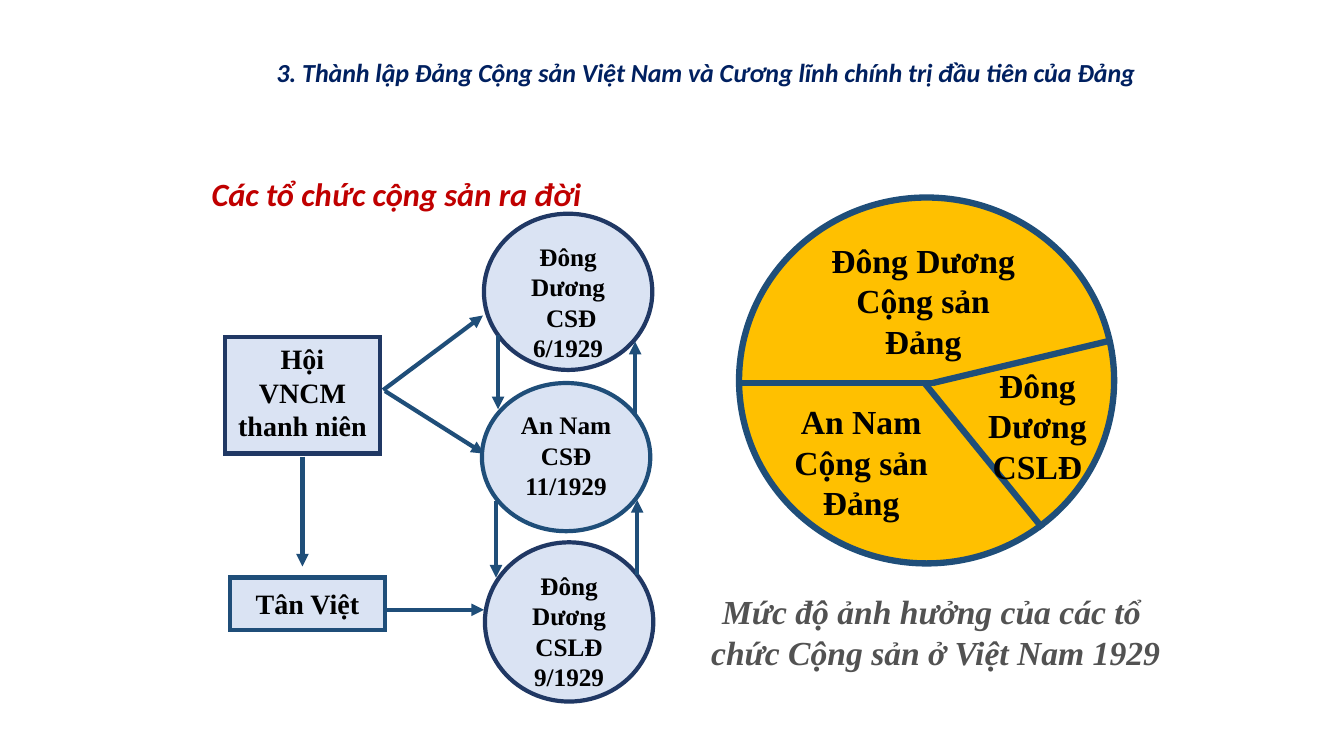
"""Build a slide on the communist organisations of Vietnam in 1929."""
from lxml.etree import SubElement
from pptx import Presentation
from pptx.dml.color import RGBColor
from pptx.enum.shapes import MSO_CONNECTOR, MSO_SHAPE
from pptx.enum.text import MSO_ANCHOR, PP_ALIGN
from pptx.oxml.ns import qn
from pptx.util import Inches, Pt

NAVY = RGBColor(0x00, 0x20, 0x60)
RED = RGBColor(0xC0, 0x00, 0x00)
BLACK = RGBColor(0x00, 0x00, 0x00)
GRAY = RGBColor(0x52, 0x52, 0x52)
PALE = RGBColor(0xDA, 0xE3, 0xF3)
DARK = RGBColor(0x20, 0x38, 0x64)
BLUE = RGBColor(0x1F, 0x4E, 0x79)
GOLD = RGBColor(0xFF, 0xC0, 0x00)

TITLE = "3. Thành lập Đảng Cộng sản Việt Nam và Cương lĩnh chính trị đầu tiên của Đảng"
HEADING = "Các tổ chức cộng sản ra đời"
CAPTION = ["Mức độ ảnh hưởng của các tổ ", "chức Cộng sản ở Việt Nam 1929"]

SOURCES = [
    (["Hội VNCM thanh niên"], (2.23, 3.34, 1.54, 1.16), DARK, MSO_ANCHOR.TOP),
    (["Tân Việt"], (2.28, 5.73, 1.54, 0.52), BLUE, MSO_ANCHOR.MIDDLE),
]
PARTIES = [
    (["Đông Dương", " CSĐ", "6/1929"], (4.8, 2.12, 1.67, 1.55), DARK),
    (["Đông Dương CSLĐ", "9/1929"], (4.81, 5.38, 1.67, 1.58), DARK),
    (["An Nam CSĐ", "11/1929"], (4.78, 3.8, 1.67, 1.47), BLUE),
]
ARROWS = [
    (3.82, 3.88, 4.8, 4.5),
    (3.81, 6.05, 4.8, 6.05),
    (3.8, 3.87, 4.79, 3.13),
    (3, 4.53, 3, 5.62),
    (4.94, 3.32, 4.94, 4.06),
    (6.3, 4.13, 6.3, 3.39),
    (4.92, 4.97, 4.92, 5.73),
    (6.32, 5.7, 6.32, 4.96),
]
CIRCLE = (7.33, 1.96, 3.72, 3.63)
DIVIDERS = [
    (7.33, 3.8, 9.25, 3.8),
    (9.25, 3.8, 11.01, 3.38),
    (9.17, 3.8, 10.34, 5.24),
]
SHARES = [
    ("Đông Dương Cộng sản Đảng", (8.12, 2.33, 2.07, 1.31)),
    ("An Nam Cộng sản Đảng", (7.75, 3.93, 1.58, 1.31)),
    ("Đông Dương CSLĐ", (9.66, 3.57, 1.26, 1.31)),
]


def put_text(s, lines, size=24, font="Times New Roman", color=BLACK, italic=False,
             align=PP_ALIGN.CENTER, anchor=MSO_ANCHOR.TOP, raised=False, spacing=None):
    tf = s.text_frame
    tf.word_wrap = True
    tf.vertical_anchor = anchor
    for i, line in enumerate(lines):
        p = tf.paragraphs[0] if i == 0 else tf.add_paragraph()
        p.alignment = align
        p.line_spacing = spacing
        r = p.add_run()
        r.text = line
        r.font.name, r.font.size = font, Pt(size)
        r.font.bold, r.font.italic = True, italic
        r.font.color.rgb = color
        if raised:
            r._r.get_or_add_rPr().set("baseline", "30000")


def add_box(shapes, box):
    return shapes.add_textbox(*map(Inches, box))


def add_outlined(shapes, kind, box, fill, line, width=3):
    s = shapes.add_shape(kind, *map(Inches, box))
    s.shadow.inherit = False
    s.fill.solid()
    s.fill.fore_color.rgb = fill
    s.line.color.rgb = line
    s.line.width = Pt(width)
    SubElement(s.line._get_or_add_ln(), qn("a:miter"), lim="800000")
    return s


def add_line(shapes, ends, width=3, arrow=False):
    s = shapes.add_connector(MSO_CONNECTOR.STRAIGHT, *map(Inches, ends))
    s.line.color.rgb = BLUE
    s.line.width = Pt(width)
    if arrow:
        SubElement(s.line._get_or_add_ln(), qn("a:tailEnd"), type="triangle")
    SubElement(s._element.spPr, qn("a:effectLst"))


def main():
    prs = Presentation()
    prs.slide_width, prs.slide_height = Inches(13.33), Inches(7.5)
    shapes = prs.slides.add_slide(prs.slide_layouts[6]).shapes

    put_text(add_box(shapes, (1.56, 0.29, 10.88, 1.03)), [TITLE], size=32, font="Calibri",
             color=NAVY, italic=True, anchor=MSO_ANCHOR.MIDDLE, raised=True, spacing=0.9)
    put_text(add_box(shapes, (2, 1.61, 5, 0.55)), [HEADING], size=40, font="Calibri",
             color=RED, italic=True, align=PP_ALIGN.LEFT, raised=True)

    for lines, box, line, anchor in SOURCES:
        s = add_outlined(shapes, MSO_SHAPE.RECTANGLE, box, PALE, line)
        put_text(s, lines, size=20, anchor=anchor)
    for lines, box, line in PARTIES:
        put_text(add_outlined(shapes, MSO_SHAPE.OVAL, box, PALE, line), lines, size=18)
    for ends in ARROWS:
        add_line(shapes, ends, arrow=True)

    put_text(add_box(shapes, (6.78, 5.89, 5, 0.75)), CAPTION, color=GRAY, italic=True,
             anchor=MSO_ANCHOR.MIDDLE)
    add_outlined(shapes, MSO_SHAPE.OVAL, CIRCLE, GOLD, BLUE, width=4.5)
    for ends in DIVIDERS:
        add_line(shapes, ends, width=4.5)
    for name, box in SHARES:
        put_text(add_box(shapes, box), [name])

    prs.save("out.pptx")


if __name__ == "__main__":
    main()
